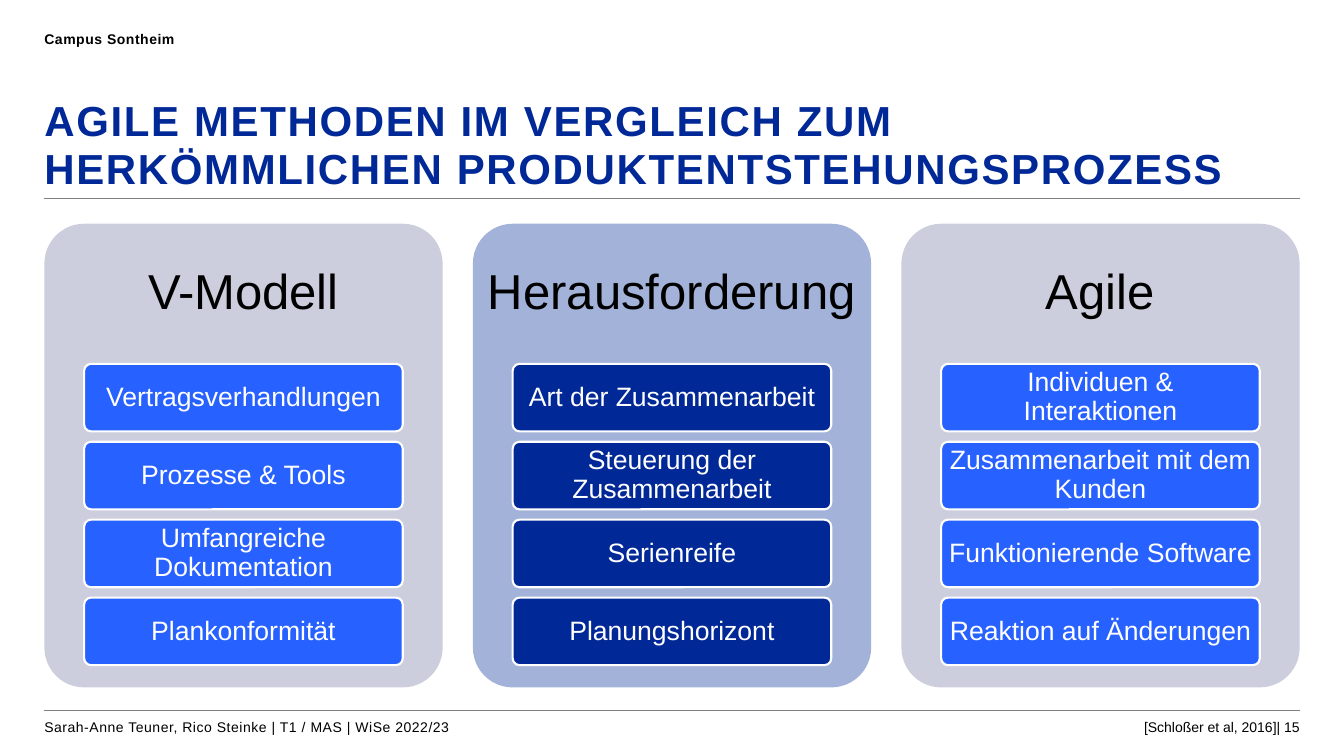
from dataclasses import dataclass

from lxml.etree import SubElement
from pptx import Presentation
from pptx.dml.color import RGBColor
from pptx.enum.shapes import MSO_CONNECTOR, MSO_SHAPE
from pptx.enum.text import MSO_ANCHOR, MSO_AUTO_SIZE, PP_ALIGN
from pptx.oxml.ns import qn
from pptx.util import Inches, Pt


@dataclass(frozen=True)
class Theme:
    font: str = "Arial"
    black: str = "000000"
    white: str = "FFFFFF"
    rule: str = "808080"
    navy: str = "002896"
    blue: str = "2761FF"
    grey_panel: str = "CCCDDD"
    blue_panel: str = "A3B2D9"
    title_size: int = 30
    heading_size: int = 35
    tile_size: int = 19
    small_size: int = 10


THEME = Theme()

# Grid in inches: three panels, each with a heading and four tiles
LEFT, RIGHT = 0.44, 12.89
PANEL_TOP, PANEL_WIDTH, PANEL_HEIGHT = 2.22, 3.95, 4.6
COLUMN_STEP = (RIGHT - LEFT - PANEL_WIDTH) / 2
HEADING_HEIGHT = 0.3 * PANEL_HEIGHT
TILE_WIDTH, TILE_HEIGHT = 0.8 * PANEL_WIDTH, 0.67
TILE_TOP, ROW_STEP = 3.61, 0.773

COLUMNS = [
    ("V-Modell", THEME.grey_panel, THEME.blue,
     ["Vertragsverhandlungen", "Prozesse & Tools",
      "Umfangreiche Dokumentation", "Plankonformität"]),
    ("Herausforderung", THEME.blue_panel, THEME.navy,
     ["Art der Zusammenarbeit", "Steuerung der Zusammenarbeit",
      "Serienreife", "Planungshorizont"]),
    ("Agile", THEME.grey_panel, THEME.blue,
     ["Individuen & Interaktionen", "Zusammenarbeit mit dem Kunden",
      "Funktionierende Software", "Reaktion auf Änderungen"]),
]


def box(left, top, width, height):
    return [Inches(length) for length in (left, top, width, height)]


def write(holder, text, *, size, color=THEME.black, bold=False, spacing=0,
          align=PP_ALIGN.LEFT, anchor=MSO_ANCHOR.TOP, line_spacing=1.0,
          insets=(0, 0)):
    """Put formatted text in a shape; insets are (horizontal, vertical)."""
    frame = holder.text_frame
    frame.word_wrap = True
    frame.auto_size = MSO_AUTO_SIZE.NONE
    frame.vertical_anchor = anchor
    frame.margin_left = frame.margin_right = Inches(insets[0])
    frame.margin_top = frame.margin_bottom = Inches(insets[1])
    paragraph = frame.paragraphs[0]
    paragraph.alignment = align
    paragraph.line_spacing = line_spacing
    run = paragraph.add_run()
    run.text = text
    run.font.name = THEME.font
    run.font.size = Pt(size)
    run.font.bold = bold
    run.font.color.rgb = RGBColor.from_string(color)
    if spacing:
        run.font._element.set("spc", str(round(spacing * 100)))


def add_label(slide, area, text, **text_format):
    write(slide.shapes.add_textbox(*box(*area)), text, **text_format)


def add_rule(slide, y):
    rule = slide.shapes.add_connector(
        MSO_CONNECTOR.STRAIGHT, Inches(LEFT), Inches(y), Inches(RIGHT), Inches(y))
    rule.line.color.rgb = RGBColor.from_string(THEME.rule)
    rule.line.width = Pt(0.5)
    SubElement(rule._element.spPr, qn("a:effectLst"))


def add_rounded(slide, area, fill, outline=None):
    rounded = slide.shapes.add_shape(MSO_SHAPE.ROUNDED_RECTANGLE, *box(*area))
    rounded.adjustments[0] = 0.1
    rounded.shadow.inherit = False
    rounded.fill.solid()
    rounded.fill.fore_color.rgb = RGBColor.from_string(fill)
    if outline:
        rounded.line.color.rgb = RGBColor.from_string(outline)
        rounded.line.width = Pt(1.5)
    else:
        rounded.line.fill.background()
    return rounded


def add_column(slide, left, heading, panel_color, tile_color, topics):
    centered = dict(align=PP_ALIGN.CENTER, anchor=MSO_ANCHOR.MIDDLE, line_spacing=0.9)
    add_rounded(slide, (left, PANEL_TOP, PANEL_WIDTH, PANEL_HEIGHT), panel_color)
    add_label(slide, (left, PANEL_TOP, PANEL_WIDTH, HEADING_HEIGHT), heading,
              size=THEME.heading_size, insets=(0.1, 0.15), **centered)
    tile_left = left + (PANEL_WIDTH - TILE_WIDTH) / 2
    for row, topic in enumerate(topics):
        tile = add_rounded(
            slide, (tile_left, TILE_TOP + row * ROW_STEP, TILE_WIDTH, TILE_HEIGHT),
            tile_color, outline=THEME.white)
        write(tile, topic, size=THEME.tile_size, color=THEME.white,
              insets=(0.05, 0.04), **centered)


def main():
    deck = Presentation()
    deck.slide_width, deck.slide_height = Inches(13.33), Inches(7.5)
    slide = deck.slides.add_slide(deck.slide_layouts[5])

    # Header and title
    add_label(slide, (LEFT, 0.3, 8.07, 0.24), "Campus Sontheim",
              size=THEME.small_size, bold=True, spacing=0.4)
    title = slide.shapes.title
    title.left, title.top, title.width, title.height = box(LEFT, 0.98, RIGHT - LEFT, 0.94)
    write(title, "AGILE METHODEN IM VERGLEICH ZUM HERKÖMMLICHEN PRODUKTENTSTEHUNGSPROZESS",
          size=THEME.title_size, color=THEME.navy, bold=True, spacing=1.2,
          line_spacing=0.94)
    add_rule(slide, 1.97)

    # Comparison columns
    for index, column in enumerate(COLUMNS):
        add_column(slide, LEFT + index * COLUMN_STEP, *column)

    # Footer
    add_rule(slide, 7.05)
    add_label(slide, (LEFT, 7.13, 8.07, 0.24),
              "Sarah-Anne Teuner, Rico Steinke | T1 / MAS | WiSe 2022/23",
              size=THEME.small_size, spacing=0.4)
    add_label(slide, (RIGHT - 2.08, 7.13, 2.08, 0.24), "[Schloßer et al, 2016]| 15",
              size=THEME.small_size, align=PP_ALIGN.RIGHT)

    deck.save("out.pptx")


if __name__ == "__main__":
    main()
